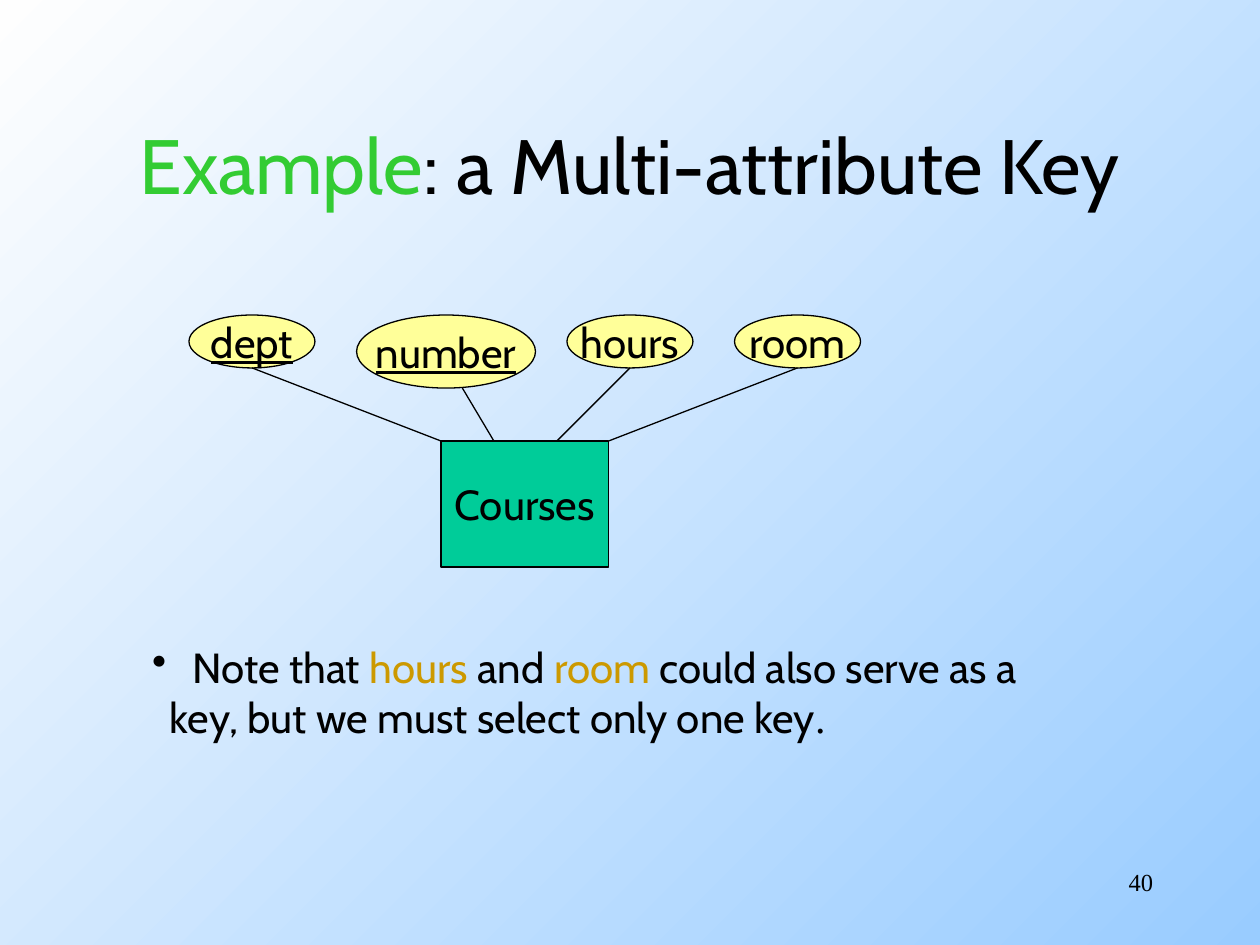
from pptx import Presentation
from pptx.dml.color import RGBColor
from pptx.enum.shapes import MSO_CONNECTOR, MSO_SHAPE
from pptx.enum.text import MSO_ANCHOR, PP_ALIGN
from pptx.oxml.ns import qn
from pptx.util import Inches, Pt
from lxml import etree

RECT, OVAL = MSO_SHAPE.RECTANGLE, MSO_SHAPE.OVAL
STRAIGHT = MSO_CONNECTOR.STRAIGHT
MIDDLE = MSO_ANCHOR.MIDDLE
LEFT, CENTER, RIGHT = PP_ALIGN.LEFT, PP_ALIGN.CENTER, PP_ALIGN.RIGHT
SANS, SERIF = "Cabin", "Times New Roman"
BLACK, GREEN, GOLD = "000000", "33CC33", "CC9900"
YELLOW, TEAL = "FFFF99", "00CC99"


def rgb(color):
    return RGBColor.from_string(color)


def add_runs(p, runs, size, font=SANS, align=LEFT):
    p.alignment = align
    for text, color in runs:
        r = p.add_run()
        r.text = text
        r.font.name, r.font.size = font, Pt(size)
        r.font.color.rgb = rgb(color)


def add_text_box(slide, x, y, w, h):
    tf = slide.shapes.add_textbox(Inches(x), Inches(y), Inches(w), Inches(h)).text_frame
    tf.word_wrap = True
    return tf


def set_indent(p, margin, first=0.0, bullet=None):
    pPr = p._p.get_or_add_pPr()
    pPr.set("marL", str(Inches(margin)))
    pPr.set("indent", str(Inches(first)))
    if bullet:
        etree.SubElement(pPr, qn("a:buChar")).set("char", bullet)


def set_background(slide):
    fill = slide.background.fill
    fill.gradient()
    fill.gradient_angle = 135
    for stop, color in zip(fill.gradient_stops, ("99CCFF", "FEFEFE")):
        stop.color.rgb = rgb(color)


def add_title(slide, x, y, w, h):
    tf = add_text_box(slide, x, y, w, h)
    tf.vertical_anchor = MIDDLE
    runs = [("Example", GREEN), (": a Multi-attribute Key", BLACK)]
    add_runs(tf.paragraphs[0], runs, 44, align=CENTER)


def add_node(slide, kind, text, x, y, w, h, fill, underline=False):
    s = slide.shapes.add_shape(kind, Inches(x), Inches(y), Inches(w), Inches(h))
    s.shadow.inherit = False
    s.fill.solid()
    s.fill.fore_color.rgb = rgb(fill)
    s.line.color.rgb = rgb(BLACK)
    s.line.width = Pt(0.75)
    tf = s.text_frame
    tf.word_wrap = False
    tf.vertical_anchor = MIDDLE
    p = tf.paragraphs[0]
    add_runs(p, [(text, BLACK)], 24, align=CENTER)
    if underline:
        p.runs[0].font.underline = True


def add_line(slide, x1, y1, x2, y2):
    c = slide.shapes.add_connector(STRAIGHT, Inches(x1), Inches(y1), Inches(x2), Inches(y2))
    c.line.color.rgb = rgb(BLACK)
    c.line.width = Pt(0.75)
    etree.SubElement(c._element.spPr, qn("a:effectLst"))


def add_er_diagram(slide, x, y):
    # Entity set
    box_x, box_y, box_w = x + 2, y + 1, 1.33
    add_node(slide, RECT, "Courses", box_x, box_y, box_w, 1, TEAL)

    # Attributes: name, left, width, height, in key, line start, line end on the box
    attributes = [
        ("dept", 0, 1, 0.42, True, 0.5, 0),
        ("number", 1.33, 1.42, 0.58, True, 2.17, 0.42),
        ("hours", 3, 1, 0.42, False, 3.5, 0.92),
        ("room", 4.33, 1, 0.42, False, 4.83, box_w),
    ]
    for name, left, w, h, in_key, start, end in attributes:
        add_node(slide, OVAL, name, x + left, y, w, h, YELLOW, in_key)
        add_line(slide, x + start, y + h, box_x + end, box_y)


def add_note(slide, x, y, w, h):
    tf = add_text_box(slide, x, y, w, h)
    p = tf.paragraphs[0]
    set_indent(p, 0.32, -0.32, "•")
    runs = [("Note that ", BLACK), ("hours", GOLD), (" and ", BLACK),
            ("room", GOLD), (" could also serve as a", BLACK)]
    add_runs(p, runs, 24)
    p = tf.add_paragraph()
    set_indent(p, 0.14)
    add_runs(p, [("key, but we must select only one key", BLACK)], 24)
    add_runs(p, [(".", BLACK)], 24, SERIF)


def add_page_number(slide, x, y, w, h):
    tf = add_text_box(slide, x, y, w, h)
    add_runs(tf.paragraphs[0], [("40", BLACK)], 14, SERIF, RIGHT)


def main():
    prs = Presentation()
    prs.slide_width, prs.slide_height = Inches(10), Inches(7.5)
    slide = prs.slides.add_slide(prs.slide_layouts[6])
    set_background(slide)
    add_title(slide, 0.75, 0.67, 8.5, 1.25)
    add_er_diagram(slide, 1.5, 2.5)
    add_note(slide, 1.11, 5.04, 7.81, 0.9)
    add_page_number(slide, 7.17, 6.83, 2.08, 0.5)
    prs.save("out.pptx")


if __name__ == "__main__":
    main()
